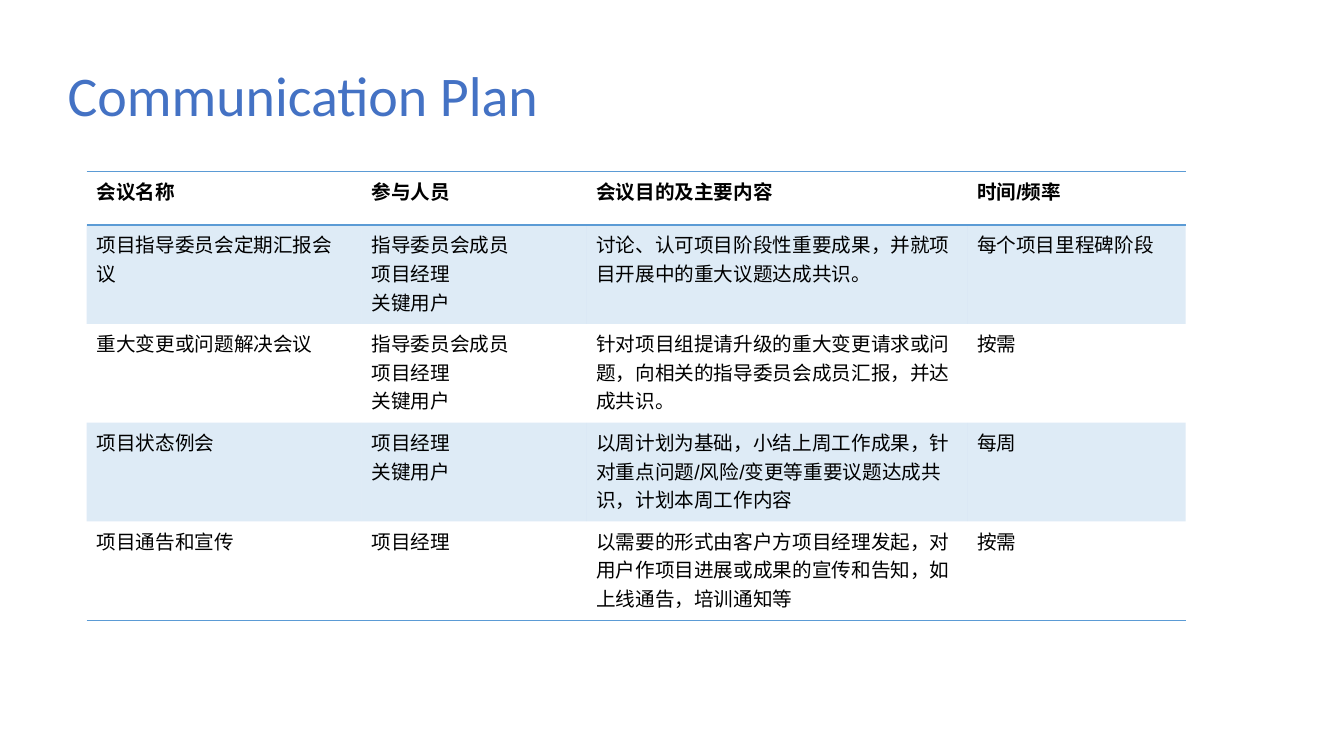
from dataclasses import astuple, dataclass
from typing import Any

from lxml.etree import SubElement
from pptx import Presentation
from pptx.dml.color import RGBColor as Rgb
from pptx.enum.text import MSO_ANCHOR as Anchor, PP_ALIGN as Align
from pptx.oxml.ns import qn
from pptx.util import Cm, Length, Pt

COLORS = {"title": "4472C4", "text": "000000", "accent": "5B9BD5"}
PLAIN_STYLE = "{2D5ABB26-0587-4C30-8999-92F81FD0307C}"
COLUMN_WIDTHS = [Cm(6.93), Cm(5.66), Cm(9.6), Cm(5.51)]
HEADER_HEIGHT, MEETING_HEIGHT = Cm(1.35), Cm(2.49)
BAND_OPACITY = 20


@dataclass
class Meeting:
    name: str
    people: str
    purpose: str
    frequency: str


MEETINGS = [
    Meeting("会议名称", "参与人员", "会议目的及主要内容", "时间/频率"),
    Meeting("项目指导委员会定期汇报会议", "指导委员会成员\n项目经理\n关键用户",
            "讨论、认可项目阶段性重要成果，并就项目开展中的重大议题达成共识。",
            "每个项目里程碑阶段"),
    Meeting("重大变更或问题解决会议", "指导委员会成员\n项目经理\n关键用户",
            "针对项目组提请升级的重大变更请求或问题，向相关的指导委员会成员汇报，并达成共识。",
            "按需"),
    Meeting("项目状态例会", "项目经理\n关键用户",
            "以周计划为基础，小结上周工作成果，针对重点问题/风险/变更等重要议题达成共识，计划本周工作内容",
            "每周"),
    Meeting("项目通告和宣传", "项目经理",
            "以需要的形式由客户方项目经理发起，对用户作项目进展或成果的宣传和告知，如上线通告，培训通知等",
            "按需"),
]


def write(frame: Any, text: str, *, size: int, font: str, color: str,
          bold: bool = False, line_spacing: float = 1.0) -> None:
    """Fill a text frame, one paragraph per line of text."""
    frame.text = text
    for para in frame.paragraphs:
        para.alignment = Align.LEFT
        para.line_spacing = line_spacing
        for span in para.runs:
            span.font.size = Pt(size)
            span.font.name = font
            span.font.bold = bold
            span.font.color.rgb = Rgb.from_string(COLORS[color])


def add_border(cell: Any, edge: str, width: Length = Pt(1)) -> None:
    """Draw an accent line on one edge of a cell."""
    line = SubElement(cell._tc.get_or_add_tcPr(), qn(f"a:{edge}"), w=str(int(width)))
    fill = SubElement(line, qn("a:solidFill"))
    SubElement(fill, qn("a:srgbClr"), val=COLORS["accent"])


def fill_band(cell: Any, banded: bool) -> None:
    """Tint a banded cell and leave the others clear."""
    if not banded:
        cell.fill.background()
        return
    cell.fill.solid()
    cell.fill.fore_color.rgb = Rgb.from_string(COLORS["accent"])
    tint = cell._tc.tcPr.find(f".//{qn('a:solidFill')}/{qn('a:srgbClr')}")
    SubElement(tint, qn("a:alpha"), val=str(BAND_OPACITY * 1000))


def add_title(page: Any, text: str) -> None:
    """Place and format the title placeholder."""
    title = page.shapes.title
    title.left, title.top, title.width, title.height = Cm(1.45), Cm(0.64), Cm(29.21), Cm(3.68)
    title.text_frame.vertical_anchor = Anchor.MIDDLE
    write(title.text_frame, text, size=40, font="Calibri", color="title", line_spacing=0.9)


def add_meeting_table(page: Any, meetings: list[Meeting]) -> None:
    """Add the meeting table with a header and banded rows."""
    heights = [HEADER_HEIGHT] + [MEETING_HEIGHT] * (len(meetings) - 1)
    table = page.shapes.add_table(len(meetings), len(COLUMN_WIDTHS), Cm(2.18), Cm(4.32),
                                  sum(COLUMN_WIDTHS), sum(heights)).table
    table._tbl.tblPr.find(qn("a:tableStyleId")).text = PLAIN_STYLE
    for column, width in zip(table.columns, COLUMN_WIDTHS):
        column.width = width
    for index, (meeting, height) in enumerate(zip(meetings, heights)):
        table.rows[index].height = height
        is_header, is_last = index == 0, index == len(meetings) - 1
        for cell, text in zip(table.rows[index].cells, astuple(meeting)):
            write(cell.text_frame, text, size=14, font="Arial", color="text", bold=is_header)
            if is_header:
                add_border(cell, "lnT")
            if is_header or is_last:
                add_border(cell, "lnB")
            fill_band(cell, banded=index % 2 == 1)


def main() -> None:
    """Build the communication plan slide."""
    deck = Presentation()
    deck.slide_width, deck.slide_height = Cm(33.87), Cm(19.05)
    page = deck.slides.add_slide(deck.slide_layouts.get_by_name("Title Only"))
    add_title(page, "Communication Plan")
    add_meeting_table(page, MEETINGS)
    deck.save("out.pptx")


main()
